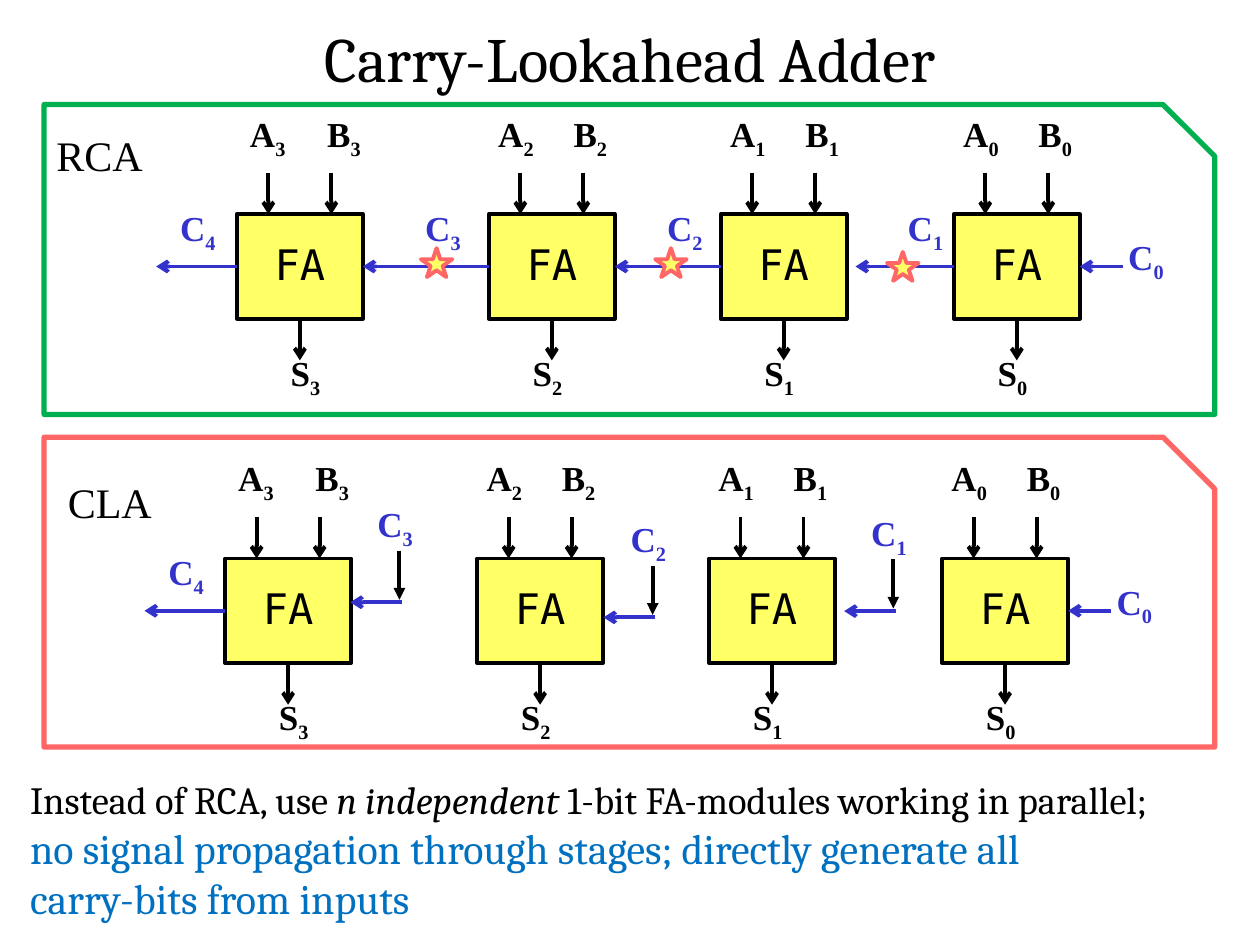
from lxml import etree
from pptx import Presentation
from pptx import util as u
from pptx.dml.color import RGBColor
from pptx.enum import shapes, text
from pptx.oxml.ns import qn

CELL = u.Inches(0.1)  # the slide is a grid of 100 columns by 75 rows
COLORS = {"black": "000000", "carry": "3333CC", "box": "FFFF66", "rca": "00B050",
          "cla": "FF6666", "blue": "0070C0"}
SERIF, ROMAN, MONO = "Cambria", "Times New Roman", "DejaVu Sans Mono"
TIGHT = {"margin_left": 0, "margin_top": 0, "margin_right": 0,
         "margin_bottom": u.Inches(0.05), "word_wrap": False}
MIDDLE = {"vertical_anchor": text.MSO_ANCHOR.MIDDLE}
GROW = {"auto_size": text.MSO_AUTO_SIZE.SHAPE_TO_FIT_TEXT}

STAGE_COLS = [75.7, 57.2, 38.8, 18.8]  # left side of the adder of each bit
BOX_ROW, BOX_W, BOX_H = 17, 10, 8.3
CARRY_ROW = BOX_ROW + BOX_H / 2
# per pin: column offset from the box, row, width
PINS = {"A": (-0.3, 8.9, 4.9), "B": (5.6, 8.9, 4.9), "S": (2.4, 27.9, 4.5)}
TOP_BIT_PINS = {"A": (-0.9, 8.9, 6.7), "B": (5, 8.9, 7), "S": (0.8, 27.9, 9.3)}


def grid(*cells):
    return [u.Emu(round(c * CELL)) for c in cells]


def rgb(name):
    return RGBColor.from_string(COLORS[name])


def set_all(obj, values):
    for name, value in values.items():
        setattr(obj, name, value)


def add_run(p, words, size, font, color="black", **style):
    r = p.add_run()
    r.text = words
    set_all(r.font, {"size": u.Pt(size), "name": font, **style})
    r.font.color.rgb = rgb(color)
    return r


def text_box(parent, at, **frame):
    tf = parent.add_textbox(*grid(*at)).text_frame
    set_all(tf, {"word_wrap": True, **frame})
    return tf


def signal(parent, name, bit, at, color="black", **frame):
    """Signal name with its bit number as a subscript."""
    p = text_box(parent, at, **{**TIGHT, **frame}).paragraphs[0]
    p.alignment = text.PP_ALIGN.CENTER
    add_run(p, name, 20, ROMAN, color, bold=True)
    sub = add_run(p, str(bit), 20, ROMAN, color, bold=True)
    sub._r.get_or_add_rPr().set("baseline", "-25000")


def carry_label(parent, bit, col, row, width=2.9):
    signal(parent, "C", bit, (col, row, width, 3.8), "carry", **GROW)


def arrow(parent, start, end, color="black", head="arrow"):
    line = parent.add_connector(shapes.MSO_CONNECTOR.STRAIGHT, *grid(*start, *end))
    line.line.color.rgb = rgb(color)
    line.line.width = u.Pt(2.25)
    etree.SubElement(line.get_or_add_ln(), qn("a:tailEnd"), type=head)
    etree.SubElement(line.element.spPr, qn("a:effectLst"))
    return line


def outline_shape(parent, kind, at, line, fill=None, width=2.25):
    sp = parent.add_shape(kind, *grid(*at))
    sp.shadow.inherit = False
    if fill:
        sp.fill.solid()
        sp.fill.fore_color.rgb = rgb(fill)
    else:
        sp.fill.background()
    sp.line.color.rgb = rgb(line)
    sp.line.width = u.Pt(width)
    return sp


def caption(parent, words, col, row):
    tf = text_box(parent, (col, row, 9.6, 5), **GROW)
    add_run(tf.paragraphs[0], words, 24, ROMAN)


def stage(parent, bit, dx, dy):
    """One full adder with its two inputs and its sum output."""
    col, row = STAGE_COLS[bit] + dx, BOX_ROW + dy
    box = outline_shape(parent, shapes.MSO_SHAPE.RECTANGLE, (col, row, BOX_W, BOX_H),
                        "black", "box")
    set_all(box.text_frame, {**TIGHT, **MIDDLE})
    p = box.text_frame.paragraphs[0]
    p.alignment = text.PP_ALIGN.CENTER
    add_run(p, "FA", 24, MONO)
    for share in (0.25, 0.75):
        x = col + share * BOX_W
        arrow(parent, (x, row - 3.3), (x, row))
    x, bottom = col + BOX_W / 2, row + BOX_H
    arrow(parent, (x, bottom), (x, bottom + 3.3)).begin_connect(box, 2)
    pins = TOP_BIT_PINS if bit == len(STAGE_COLS) - 1 else PINS
    for name, (offset, pin_row, width) in pins.items():
        signal(parent, name, bit, (col + offset, pin_row + dy, width, 4.3), **MIDDLE)
    return box


def carry_out(parent, box, bit, end, dx=0, dy=0):
    row = CARRY_ROW + dy
    line = arrow(parent, (STAGE_COLS[bit] + dx, row), (end + dx, row), "carry")
    line.begin_connect(box, 1)
    return line


def adder(parent, dx=0, dy=0):
    """The parts that both adders share: four stages, carry in and carry out."""
    boxes = [stage(parent, bit, dx, dy) for bit in range(len(STAGE_COLS))]
    row = CARRY_ROW + dy
    carry_in = arrow(parent, (89.1 + dx, row), (STAGE_COLS[0] + BOX_W + dx, row), "carry")
    carry_in.end_connect(boxes[0], 3)
    carry_label(parent, 0, 89.5 + dx, 18.7 + dy)
    carry_out(parent, boxes[3], 3, 12.4, dx, dy)
    carry_label(parent, 4, 13.2 + dx, 16.4 + dy, 5)
    return boxes


def ripple_adder(parent):
    boxes = adder(parent)
    carry_out(parent, boxes[0], 0, 67.9)
    for bit in (1, 2):
        line = carry_out(parent, boxes[bit], bit, STAGE_COLS[bit + 1] + BOX_W)
        line.end_connect(boxes[bit + 1], 3)
    for bit, col in enumerate((72, 52.9, 33.7), 1):
        carry_label(parent, bit, col, 16.4)


def lookahead_adder(parent):
    adder(parent, -0.93, 27.33)
    for bit, (col, row) in enumerate(((67, 48.5), (47.9, 49), (27.8, 47.8)), 1):
        arrow(parent, (col + 4.1, row), (col, row), "carry")
        arrow(parent, (col + 3.9, row - 4.1), (col + 3.9, row - 0.2), head="triangle")
        carry_label(parent, bit, col + 2.1, row - 7.9)
    caption(parent, "CLA", 4.4, 37.3)


def add_title(s):
    title = s.shapes.title
    set_all(title, dict(zip(("left", "top", "width", "height"), grid(0, 0.8, 100, 7.5))))
    set_all(title.text_frame, MIDDLE)
    p = title.text_frame.paragraphs[0]
    p.alignment = text.PP_ALIGN.CENTER
    add_run(p, "Carry-Lookahead Adder", 36, SERIF)


def add_summary(s):
    tf = text_box(s.shapes, (1.4, 63.7, 96.6, 7.5), **MIDDLE)
    first = tf.paragraphs[0]
    add_run(first, "Instead of RCA, use ", 22, SERIF)
    add_run(first, "n independent", 22, SERIF, italic=True)
    add_run(first, " 1-bit FA-modules working in parallel;", 22, SERIF)
    for words in ("no signal propagation through stages; directly generate all ",
                  "carry-bits from inputs"):
        add_run(tf.add_paragraph(), words, 24, SERIF, "blue")
    for p in tf.paragraphs:
        p.alignment = text.PP_ALIGN.JUSTIFY


def main():
    prs = Presentation()
    prs.slide_width, prs.slide_height = grid(100, 75)
    s = prs.slides.add_slide(prs.slide_layouts[5])
    add_title(s)
    add_summary(s)
    ripple_adder(s.shapes.add_group_shape().shapes)
    caption(s.shapes, "RCA", 3.5, 9.8)
    lookahead_adder(s.shapes.add_group_shape().shapes)
    for row, color in ((8.3, "rca"), (34.7, "cla")):
        outline_shape(s.shapes, shapes.MSO_SHAPE.SNIP_1_RECTANGLE, (3.5, row, 92.9, 24.6),
                      color, width=3)
    for col, row in ((70.4, 20), (33.4, 19.7), (52, 19.7)):
        outline_shape(s.shapes, shapes.MSO_SHAPE.STAR_5_POINT, (col, row, 2.5, 2.3),
                      "cla", "box")
    prs.save("out.pptx")


if __name__ == "__main__":
    main()
